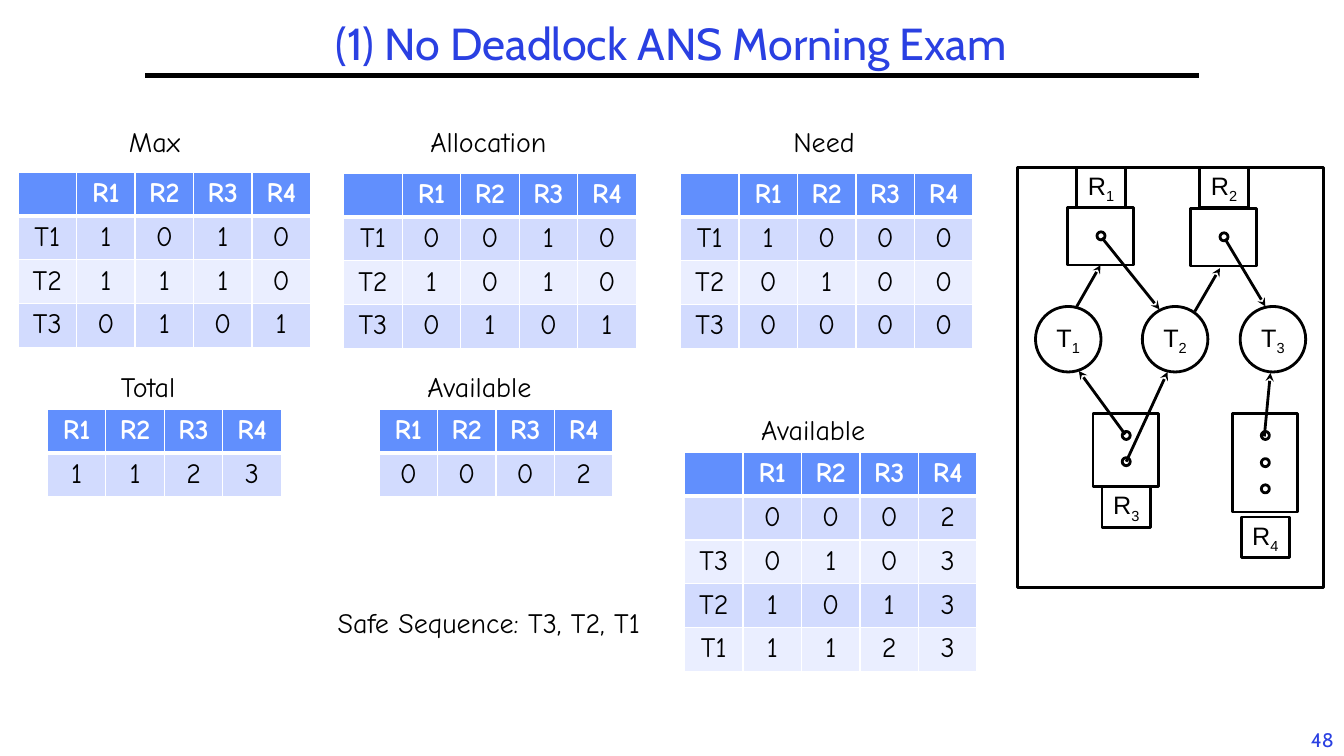
from lxml.etree import SubElement
from pptx import Presentation
from pptx.dml.color import RGBColor
from pptx.enum.shapes import MSO_CONNECTOR, MSO_SHAPE
from pptx.enum.text import MSO_ANCHOR, MSO_AUTO_SIZE, PP_ALIGN
from pptx.oxml.ns import qn
from pptx.util import Pt

PX = 9144
COLORS = {"ink": "000000", "paper": "FFFFFF", "blue": "2A40E2",
          "header": "618FFD", "odd": "D2DBFE", "even": "EAEEFF"}

RESOURCES = ["R1", "R2", "R3", "R4"]
TABLES = [
    (18, 171, 41, [["", *RESOURCES], ["T1", 1, 0, 1, 0], ["T2", 1, 1, 1, 0], ["T3", 0, 1, 0, 1]]),
    (341, 172, 41, [["", *RESOURCES], ["T1", 0, 0, 1, 0], ["T2", 1, 0, 1, 0], ["T3", 0, 1, 0, 1]]),
    (675, 172, 43, [["", *RESOURCES], ["T1", 1, 0, 0, 0], ["T2", 0, 1, 0, 0], ["T3", 0, 0, 0, 0]]),
    (47, 406, 41, [RESOURCES, [1, 1, 2, 3]]),
    (376, 406, 43, [RESOURCES, [0, 0, 0, 2]]),
    (679, 449, 43, [["", *RESOURCES], ["", 0, 0, 0, 2], ["T3", 0, 1, 0, 3],
                    ["T2", 1, 0, 1, 3], ["T1", 1, 1, 2, 3]]),
]
CAPTIONS = [
    ("Max", 118, 119, 76), ("Allocation", 417, 119, 150), ("Need", 777, 119, 90),
    ("Total", 110, 362, 89), ("Available", 414, 362, 139), ("Available", 745, 404, 139),
    ("Safe Sequence: T3, T2, T1", 325, 596, 369),
]
THREADS = [("1", 1027), ("2", 1133), ("3", 1230)]
THREAD_TOP = 304
NODE = 65
DOT = 8
LABEL_WIDTH, LABEL_HEIGHT = 48, 40
RESOURCE_BOXES = [
    ("1", 1059, 206, 57, 166, [230]),
    ("2", 1181, 207, 57, 166, [231]),
    ("3", 1084, 410, 73, 483, [428, 454]),
    ("4", 1222, 410, 98, 513, [428, 455, 481]),
]
REQUEST_TO_R1 = (1068, 304, 1092, 263)
ARROWS = [
    (1093, 236, 1150, 307), (1185, 309, 1210, 266), (1215, 237, 1255, 304),
    (1116, 431, 1070, 368), (1117, 458, 1158, 369), (1254, 433, 1260, 370),
]
COLUMN = 58


def px(*lengths):
    return [length * PX for length in lengths]


def color(name):
    return RGBColor.from_string(COLORS[name])


def write(frame, text, size=20, font="Comic Neue", ink="ink", bold=False,
          align=PP_ALIGN.CENTER, subscript="", spacing=None):
    para = frame.paragraphs[0]
    para.alignment = align
    if spacing:
        para.line_spacing = spacing
    for part in filter(None, (text, subscript)):
        span = para.add_run()
        span.text = part
        span.font.size = Pt(size)
        span.font.name = font
        span.font.bold = bold
        span.font.color.rgb = color(ink)
    if subscript:
        span._r.get_or_add_rPr().set("baseline", "-25000")


def add_text(page, text, left, top, width, height, wrap=False, **look):
    frame = page.shapes.add_textbox(*px(left, top, width, height)).text_frame
    frame.word_wrap = wrap
    frame.auto_size = MSO_AUTO_SIZE.NONE if wrap else MSO_AUTO_SIZE.SHAPE_TO_FIT_TEXT
    frame.vertical_anchor = MSO_ANCHOR.MIDDLE if wrap else MSO_ANCHOR.TOP
    write(frame, text, **look)


def add_outline(shapes, kind, left, top, width, height, text="", subscript=""):
    shape = shapes.add_shape(kind, *px(left, top, width, height))
    shape.shadow.inherit = False
    shape.fill.solid()
    shape.fill.fore_color.rgb = color("paper")
    shape.line.color.rgb = color("ink")
    shape.line.width = Pt(2)
    if text:
        shape.text_frame.word_wrap = False
        shape.text_frame.vertical_anchor = MSO_ANCHOR.MIDDLE
        write(shape.text_frame, text, size=18, font="Arial", subscript=subscript)
    return shape


def add_line(shapes, ends, weight=2, arrow=True):
    line = shapes.add_connector(MSO_CONNECTOR.STRAIGHT, *px(*ends))
    line.line.color.rgb = color("ink")
    line.line.width = Pt(weight)
    if arrow:
        SubElement(line.line._get_or_add_ln(), qn("a:tailEnd"), type="stealth")
    SubElement(line._element.spPr, qn("a:effectLst"))
    return line


def add_borders(cell, row):
    weights = {"L": 1, "R": 1, "T": 3 if row == 1 else 1, "B": 3 if row == 0 else 1}
    for side, weight in weights.items():
        border = SubElement(cell._tc.get_or_add_tcPr(), qn("a:ln" + side), w=str(Pt(weight)))
        fill = SubElement(border, qn("a:solidFill"))
        SubElement(fill, qn("a:srgbClr"), val=COLORS["paper"])


def add_matrix(page, left, top, row_height, rows):
    columns = len(rows[0])
    frame = page.shapes.add_table(len(rows), columns, *px(
        left, top, COLUMN * columns, row_height * len(rows)))
    table = frame.table
    table.horz_banding = False
    for r, values in enumerate(rows):
        table.rows[r].height = row_height * PX
        band = "header" if r == 0 else "odd" if r % 2 else "even"
        for c, value in enumerate(values):
            table.columns[c].width = COLUMN * PX
            cell = table.cell(r, c)
            add_borders(cell, r)
            cell.fill.solid()
            cell.fill.fore_color.rgb = color(band)
            write(cell.text_frame, str(value), ink="ink" if r else "paper", bold=r == 0)


def add_graph(page):
    shapes = page.shapes.add_group_shape().shapes
    add_outline(shapes, MSO_SHAPE.RECTANGLE, 1009, 166, 304, 417)
    for number, left in THREADS:
        add_outline(shapes, MSO_SHAPE.OVAL, left, THREAD_TOP, NODE, NODE, "T", number)
    boxes = {}
    for number, left, top, height, label_top, dots in RESOURCE_BOXES:
        boxes[number] = add_outline(shapes, MSO_SHAPE.RECTANGLE, left, top, NODE, height)
        for dot_top in dots:
            add_outline(shapes, MSO_SHAPE.OVAL, left + (NODE - DOT + 1) // 2, dot_top, DOT, DOT)
        add_outline(shapes, MSO_SHAPE.RECTANGLE, left + (NODE - LABEL_WIDTH + 1) // 2,
                    label_top, LABEL_WIDTH, LABEL_HEIGHT, "R", number)
    add_line(shapes, REQUEST_TO_R1).end_connect(boxes["1"], 2)
    for ends in ARROWS:
        add_line(shapes, ends)


def main():
    deck = Presentation()
    deck.slide_width, deck.slide_height = px(1333, 750)
    page = deck.slides.add_slide(deck.slide_layouts[6])
    add_text(page, "48", 1290, 717, 43, 33, size=14, font="Cabin", ink="blue")
    add_line(page.shapes, (144, 75, 1189, 75), weight=3, arrow=False)
    add_text(page, "(1) No Deadlock ANS Morning Exam", 144, 17, 1044, 58, wrap=True,
             size=32, font="Cabin", ink="blue", spacing=0.9)
    for matrix in TABLES:
        add_matrix(page, *matrix)
    for text, left, top, width in CAPTIONS:
        add_text(page, text, left, top, width, 44, align=PP_ALIGN.LEFT)
    add_graph(page)
    deck.save("out.pptx")


if __name__ == "__main__":
    main()
